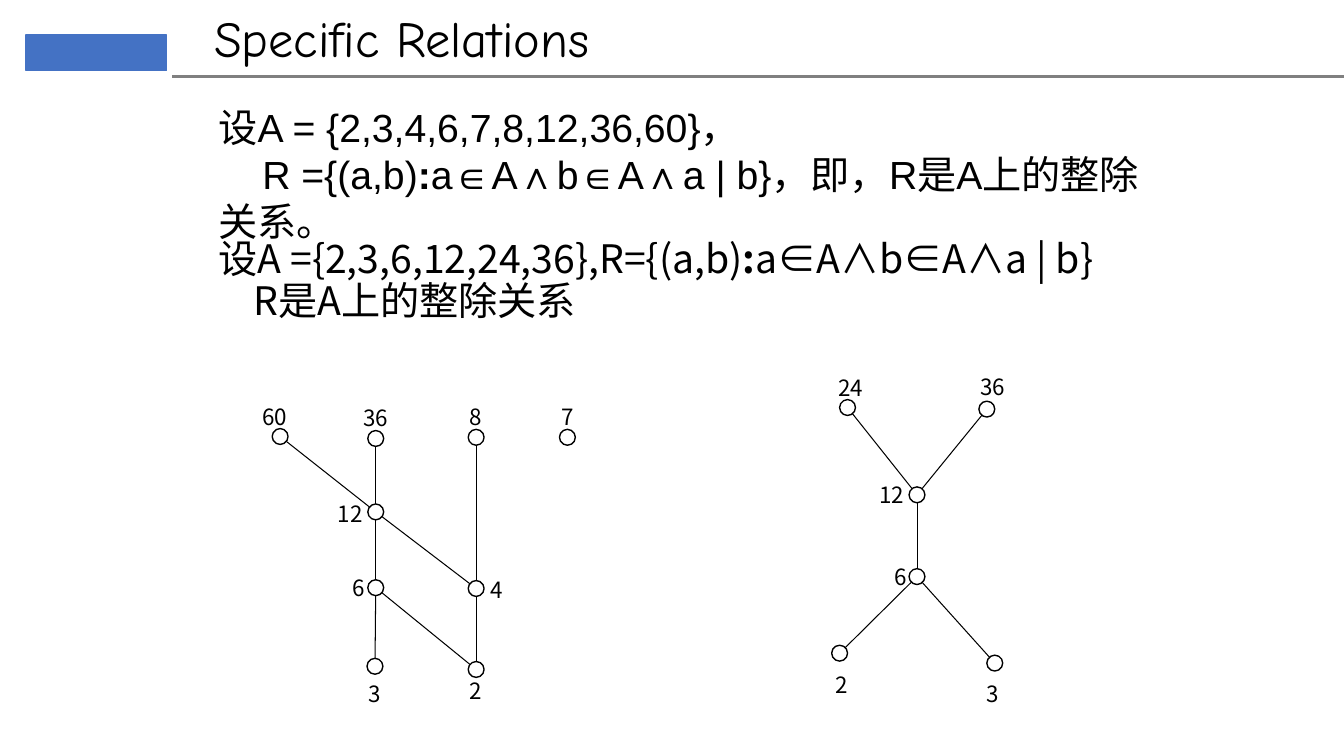
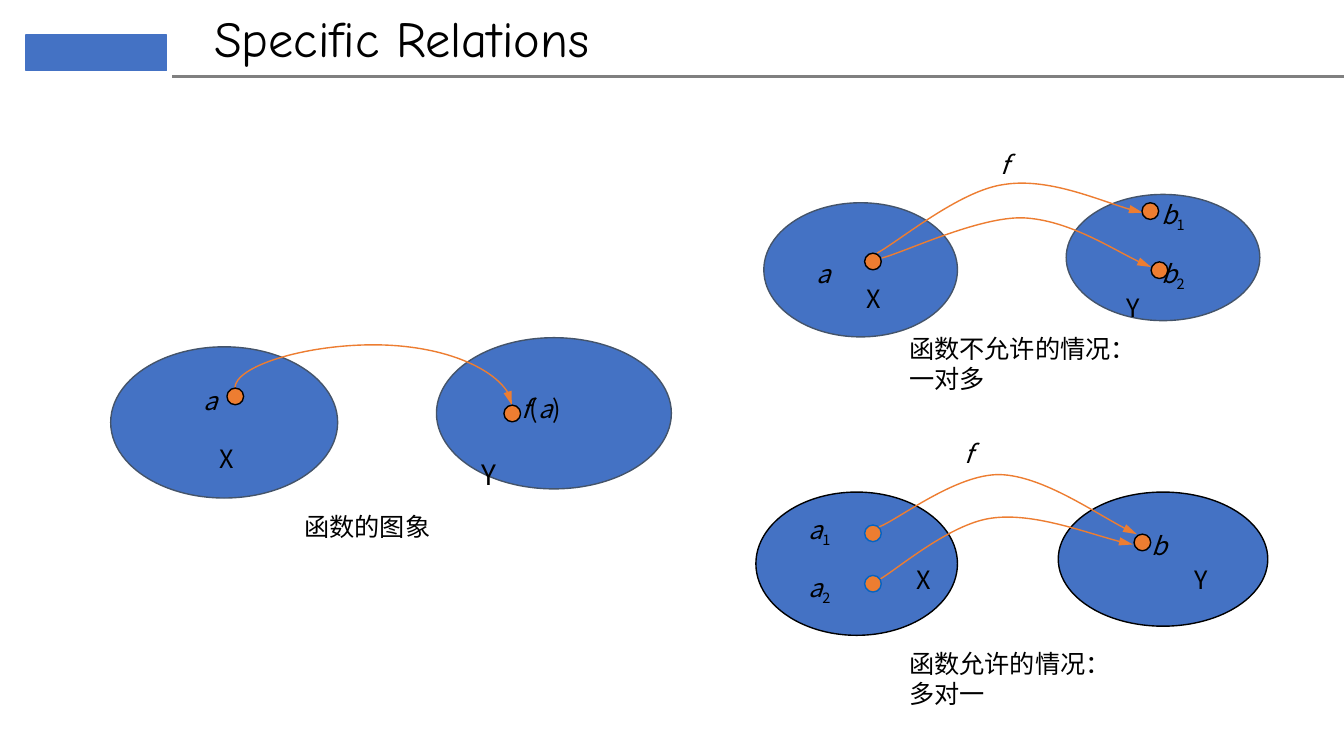
import math
from dataclasses import dataclass
from lxml import etree
from pptx import Presentation
from pptx import util as u
from pptx.dml import color as c
from pptx.enum import shapes, text
from pptx.oxml import ns


@dataclass(frozen=True)
class Theme:
    """Colours, fonts and type sizes of the deck."""
    ink: str = "000000"
    blue: str = "4472C4"
    orange: str = "ED7D31"
    slate: str = "44546A"
    link: str = "0563C1"
    grey: str = "808080"
    body: str = "Noto Sans CJK SC"
    plain: str = "Arial"
    heading: str = "Comic Neue"
    title: int = 36
    formula: int = 28
    axis: int = 20
    label: int = 18
    node: int = 16


T = Theme()
LABEL_H = 1.02
NODE_R = 0.2
DOT = 0.42
ABOVE = (0, -0.52)
ITALIC = {"italic": True}
SUB = {"baseline": -25000}
BOLD = {"bold": True}

DIVISORS_A = {
    "60": ((7.06, 11), (-0.13, -0.5)),
    "36": ((9.47, 11.05), ABOVE),
    "8": ((12, 11.02), ABOVE),
    "7": ((14.3, 11.02), ABOVE),
    "12": ((9.47, 12.9), (-0.64, 0.06)),
    "6": ((9.47, 14.81), (-0.43, 0)),
    "4": ((12, 14.83), (0.53, 0.04)),
    "3": ((9.45, 16.79), (0, 0.7)),
    "2": ((12, 16.87), (0, 0.55)),
}
EDGES_A = ("60-12", "36-12", "12-6", "6-3", "8-4", "4-2", "6-2", "12-4")
DIVISORS_B = {
    "24": ((21.36, 10.27), (0.08, -0.5)),
    "36": ((24.87, 10.31), (0.15, -0.55)),
    "12": ((23.11, 12.47), (-0.64, 0)),
    "6": ((23.11, 14.53), (-0.41, 0)),
    "2": ((21.16, 16.46), (0.05, 0.8)),
    "3": ((25.07, 16.71), (-0.05, 0.77)),
}
EDGES_B = ("24-12", "36-12", "12-6", "6-2", "6-3")

SETS = (
    (2.79, 8.74, 5.72, 3.81, T.slate),
    (11, 8.51, 5.92, 3.81, T.slate),
    (19.05, 12.4, 5.08, 3.61, T.ink),
    (26.67, 12.4, 5.28, 3.38, T.ink),
    (19.25, 5.11, 4.88, 3.38, T.slate),
    (26.87, 4.9, 4.88, 3.18, T.slate),
)
DOTS = (
    (5.72, 9.78, T.ink), (12.7, 10.21, T.ink),
    (21.79, 13.23, T.link), (21.79, 14.5, T.link), (28.58, 13.46, T.ink),
    (21.79, 6.38, T.ink), (29.01, 6.6, T.ink), (28.78, 5.11, T.ink),
)
MAPPINGS = (
    ((5.92, 9.78), (5.92, 9.23), (7.67, 8.69), (9.41, 8.69),
     (11.15, 8.69), (12.9, 9.46), (12.9, 10.21)),
    ((22.17, 14.6), (22.63, 14.33), (23.93, 13.21), (24.97, 13.06),
     (26.04, 12.9), (27.81, 13.59), (28.55, 13.72)),
    ((22.15, 13.28), (22.66, 13.08), (24.1, 11.94), (25.2, 11.96),
     (26.26, 11.99), (27.94, 13.16), (28.65, 13.46)),
    ((22.23, 6.5), (22.81, 6.35), (24.66, 5.46), (25.78, 5.49),
     (26.92, 5.54), (28.35, 6.48), (29.01, 6.73)),
    ((22.1, 6.38), (22.63, 6.1), (24.18, 4.8), (25.3, 4.65),
     (26.42, 4.47), (28.07, 5.21), (28.8, 5.36)),
)
VARIABLES = (
    ("a", "", 4.88, 9.58, 1.2),
    ("b", "", 28.78, 13.23, 1.47),
    ("a", "1", 20.12, 12.83, 2.11),
    ("a", "2", 20.12, 14.3, 2.11),
    ("f", "", 24.05, 10.92, 2.11),
    ("a", "", 20.32, 6.38, 1.7),
    ("b", "1", 29.01, 4.9, 1.9),
    ("b", "2", 29.01, 6.38, 1.9),
    ("f", "", 24.97, 3.63, 1.27),
)
CAPTIONS = (
    ("X", 5.28, 11.05, 1.27),
    ("函数的图象", 7.42, 12.75, 4.45),
    ("X", 22.86, 14.1, 1.27),
    ("Y", 29.85, 14.1, 1.47),
    ("函数允许的情况：多对一", 22.66, 16.21, 5.92),
    ("X", 21.59, 7.01, 1.47),
    ("Y", 28.14, 7.24, 2.34),
    ("函数不允许的情况：一对多", 22.66, 8.28, 6.35),
)


def rgb(value):
    """Turn a hex string into a colour."""
    return c.RGBColor.from_string(value)


def write(p, runs, size=T.label, font=T.body, color=T.ink, bold=False,
          italic=False, baseline=None):
    """Add runs, each a string or a (string, overrides) pair, to a paragraph."""
    base = dict(size=size, font=font, color=color, bold=bold, italic=italic,
                baseline=baseline)
    for run in [runs] if isinstance(runs, str) else runs:
        words, extra = (run, {}) if isinstance(run, str) else run
        fmt = {**base, **extra}
        r = p.add_run()
        r.text = words
        r.font.size, r.font.name = u.Pt(fmt["size"]), fmt["font"]
        r.font.bold, r.font.italic = fmt["bold"], fmt["italic"]
        r.font.color.rgb = rgb(fmt["color"])
        rpr = r.font._element
        if fmt["baseline"] is not None:
            rpr.set("baseline", str(fmt["baseline"]))
        etree.SubElement(rpr, ns.qn("a:ea")).set("typeface", T.body)


def add_text(s, x, y, w, h, paragraphs, align=text.PP_ALIGN.LEFT, spacing=None,
             indent=0, **fmt):
    """Add a wrapped text box; indent applies to paragraphs after the first."""
    sp = s.shapes.add_textbox(u.Cm(x), u.Cm(y), u.Cm(w), u.Cm(h))
    tf = sp.text_frame
    tf.word_wrap = True
    for i, runs in enumerate(paragraphs):
        p = tf.add_paragraph() if i else tf.paragraphs[0]
        p.alignment, p.line_spacing = align, spacing
        if i and indent:
            p._p.get_or_add_pPr().set("indent", str(u.Cm(indent)))
        write(p, runs, **fmt)
    return sp


def add_figure(s, x, y, w, h, line, fill=None, kind=shapes.MSO_SHAPE.OVAL):
    """Add an outlined preset shape, hollow when no fill is given."""
    sp = s.shapes.add_shape(kind, u.Cm(x), u.Cm(y), u.Cm(w), u.Cm(h))
    sp.shadow.inherit = False
    sp.line.color.rgb, sp.line.width = rgb(line), u.Pt(1)
    if fill:
        sp.fill.solid()
        sp.fill.fore_color.rgb = rgb(fill)
    else:
        sp.fill.background()
    return sp


def add_line(s, start, end, color=T.ink, width=0.75):
    """Add a straight connector without shadow."""
    ln = s.shapes.add_connector(shapes.MSO_CONNECTOR.STRAIGHT,
                                *(u.Cm(v) for v in (*start, *end)))
    ln.line.color.rgb, ln.line.width = rgb(color), u.Pt(width)
    etree.SubElement(ln._element.spPr, ns.qn("a:effectLst"))
    return ln


def add_curved_arrow(s, points):
    """Add an arrow along cubic curves: a start, then three points per curve."""
    start, *rest = [(u.Cm(x), u.Cm(y)) for x, y in points]
    builder = s.shapes.build_freeform(*start)
    builder.add_line_segments(rest, close=False)
    sp = builder.convert_to_shape()
    sp.shadow.inherit = False
    sp.fill.background()
    sp.line.color.rgb, sp.line.width = rgb(T.orange), u.Pt(1)
    legs = list(sp._element.iter(ns.qn("a:lnTo")))
    for i in range(0, len(legs), 3):
        curve = etree.Element(ns.qn("a:cubicBezTo"))
        legs[i].addprevious(curve)
        for leg in legs[i:i + 3]:
            curve.append(leg[0])
            leg.getparent().remove(leg)
    ln = sp._element.spPr.find(ns.qn("a:ln"))
    tail = etree.SubElement(ln, ns.qn("a:tailEnd"))
    tail.set("type", "triangle")
    tail.set("len", "lg")
    return sp


def add_hasse(s, nodes, edges):
    """Draw a Hasse diagram with edges that stop at the node outlines."""
    for edge in edges:
        (x1, y1), (x2, y2) = (nodes[name][0] for name in edge.split("-"))
        k = NODE_R / math.dist((x1, y1), (x2, y2))
        dx, dy = k * (x2 - x1), k * (y2 - y1)
        add_line(s, (x1 + dx, y1 + dy), (x2 - dx, y2 - dy))
    w, h = 1.47, 0.94
    for name, ((x, y), (dx, dy)) in nodes.items():
        add_figure(s, x - NODE_R, y - NODE_R, 2 * NODE_R, 2 * NODE_R, T.ink)
        add_text(s, x + dx - w / 2, y + dy - h / 2, w, h, [name],
                 align=text.PP_ALIGN.CENTER, size=T.node)


def add_slide(prs, title):
    """Add a title-only slide and format its title."""
    s = prs.slides.add_slide(prs.slide_layouts[5])
    sp = s.shapes.title
    sp.left, sp.top = u.Cm(5.14), u.Cm(0.05)
    sp.width, sp.height = u.Cm(16), u.Cm(1.8)
    tf = sp.text_frame
    tf.vertical_anchor = text.MSO_ANCHOR.TOP
    p = tf.paragraphs[0]
    p.alignment = text.PP_ALIGN.LEFT
    write(p, title, size=T.title, font=T.heading)
    return s


def add_header(s):
    """Place the header block and rule on the layout of a slide."""
    block = add_figure(s, 0.66, 0.88, 3.54, 0.9, T.blue, T.blue,
                       shapes.MSO_SHAPE.RECTANGLE)
    rule = add_line(s, (4.34, 1.93), (33.87, 1.93), T.grey, 2)
    for number, sp in enumerate((block, rule), 101):
        next(sp._element.iter(ns.qn("p:cNvPr"))).set("id", str(number))
        s.slide_layout.shapes._spTree.insert(2, sp._element)


def divisibility_slide(prs):
    """Build the slide on divisibility relations."""
    s = add_slide(prs, "Specific Relations")
    add_header(s)
    add_text(s, 5.26, 2.48, 24.51, 3.84,
             ["设A = {2,3,4,6,7,8,12,36,60}，",
              ["R ={(a,b)", (":", BOLD), "a∈A∧b∈A∧a | b}，即，R是A上的整除关系。"]],
             indent=1.1, size=T.formula, font=T.plain)
    add_text(s, 5.26, 5.91, 23.9, 2.41,
             [["设A ={2,3,6,12,24,36},R={(a,b)", (":", BOLD), "a∈A∧b∈A∧a | b}"],
              "R是A上的整除关系"],
             indent=0.88, spacing=0.9, size=T.formula)
    add_hasse(s, DIVISORS_A, EDGES_A)
    add_hasse(s, DIVISORS_B, EDGES_B)


def function_slide(prs):
    """Build the slide on functions as mappings."""
    s = add_slide(prs, "Specific Relations")
    for x, y, w, h, line in SETS:
        add_figure(s, x, y, w, h, line, T.blue)
    for points in MAPPINGS:
        add_curved_arrow(s, points)
    for x, y, line in DOTS:
        add_figure(s, x, y, DOT, DOT, line, T.orange)
    for name, index, x, y, w in VARIABLES:
        runs = [(name, ITALIC)] + ([(index, SUB)] if index else [])
        add_text(s, x, y, w, LABEL_H, [runs])
    for words, x, y, w in CAPTIONS:
        add_text(s, x, y, w, LABEL_H, [words])
    add_text(s, 12.9, 9.78, 1.7, LABEL_H,
             [[("f", ITALIC), "(", ("a", ITALIC), ")"]])
    add_text(s, 11.88, 11.4, 1.5, LABEL_H, ["Y"], size=T.axis)


def main():
    """Build and save the deck."""
    prs = Presentation()
    prs.slide_width, prs.slide_height = u.Cm(33.87), u.Cm(19.05)
    divisibility_slide(prs)
    function_slide(prs)
    prs.save("out.pptx")


if __name__ == "__main__":
    main()
